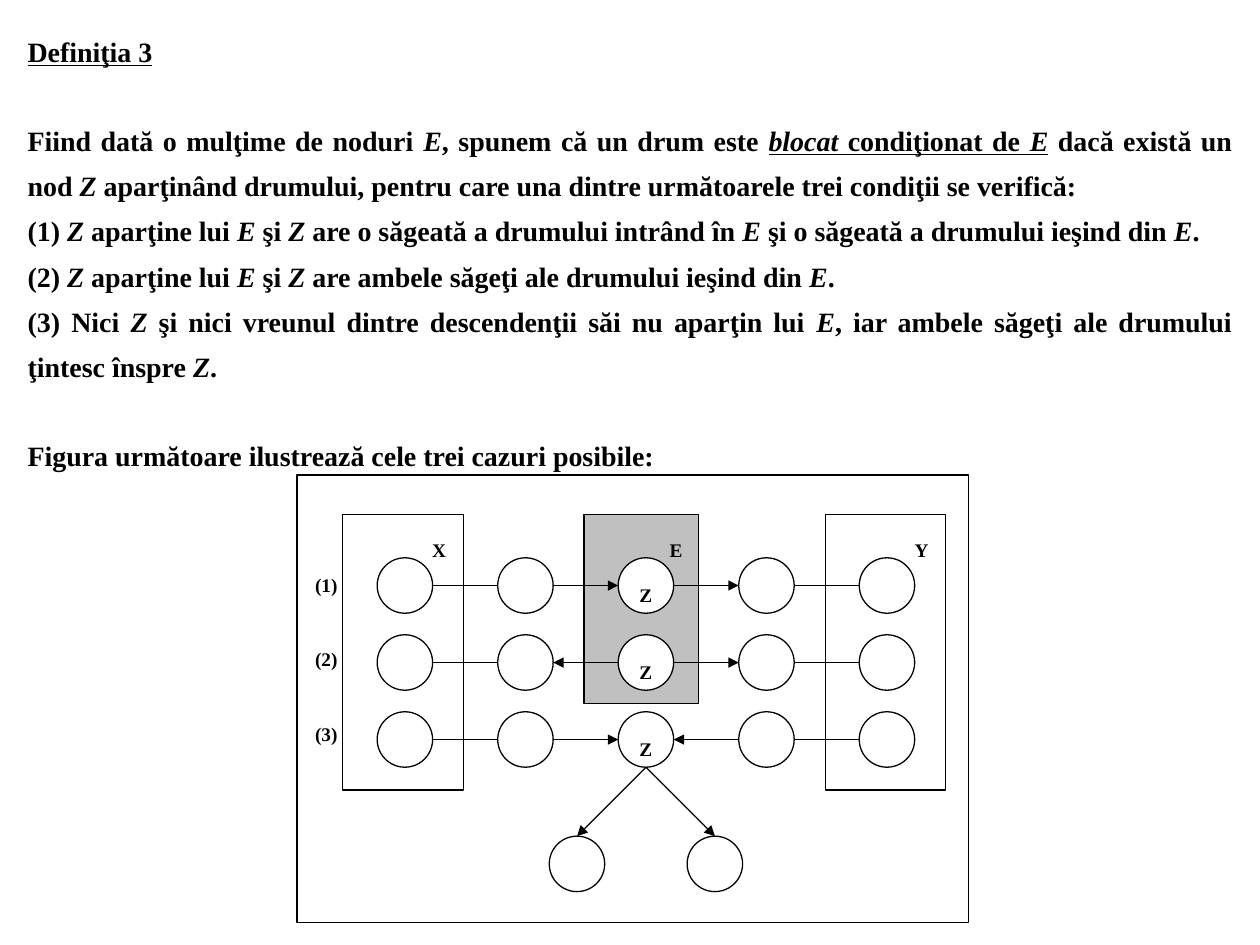
"""Build the slide that defines a blocked path and shows its three cases."""
from dataclasses import dataclass

import lxml.etree
import pptx
import pptx.dml.color
import pptx.enum.shapes
import pptx.enum.text
import pptx.oxml.ns
import pptx.util

Pt = pptx.util.Pt
Shapes = pptx.enum.shapes.MSO_SHAPE
Align = pptx.enum.text.PP_ALIGN
BLACK = pptx.dml.color.RGBColor(0x00, 0x00, 0x00)
WHITE = pptx.dml.color.RGBColor(0xFF, 0xFF, 0xFF)
GREY = pptx.dml.color.RGBColor(0xC0, 0xC0, 0xC0)
FONT = "Times New Roman"
BODY_SIZE, LABEL_SIZE = 16, 11
LINE_WIDTH = 0.75
SECTION_GAP = 24.8

DIAMETER = 31.7
RADIUS = DIAMETER / 2
FIRST_X, COLUMN_STEP = 231.4, 68.87
FIRST_Y, ROW_STEP = 334.6, 44
COLUMNS, MIDDLE = 5, 2
CHILD_OFFSET, CHILD_Y = 39.4, 493.7


@dataclass(frozen=True)
class Run:
    text: str
    italic: bool = False
    underline: bool = False


@dataclass(frozen=True)
class Paragraph:
    runs: tuple[Run, ...]
    space_before: float = 0


@dataclass(frozen=True)
class Box:
    left: float
    top: float
    width: float
    height: float
    fill: pptx.dml.color.RGBColor | None = WHITE
    outlined: bool = True
    label: str = ""


E = Run("E", italic=True)
Z = Run("Z", italic=True)
DEFINITION = (
    Paragraph((Run("Definiţia 3", underline=True),)),
    Paragraph((
        Run("Fiind dată o mulţime de noduri "), E, Run(", spunem că un drum este "),
        Run("blocat", True, True), Run(" condiţionat de ", underline=True),
        Run("E", True, True), Run(" dacă există un nod "), Z,
        Run(" aparţinând drumului, pentru care una dintre următoarele trei condiţii se verifică:"),
    ), SECTION_GAP),
    Paragraph((
        Run("(1) "), Z, Run(" aparţine lui "), E, Run(" şi "), Z,
        Run(" are o săgeată a drumului intrând în "), E,
        Run(" şi o săgeată a drumului ieşind din "), E, Run("."),
    )),
    Paragraph((
        Run("(2) "), Z, Run(" aparţine lui "), E, Run(" şi "), Z,
        Run(" are ambele săgeţi ale drumului ieşind din "), E, Run("."),
    )),
    Paragraph((
        Run("(3) Nici "), Z, Run(" şi nici vreunul dintre descendenţii săi nu aparţin lui "), E,
        Run(", iar ambele săgeţi ale drumului ţintesc înspre "), Z, Run("."),
    )),
    Paragraph((Run("Figura următoare ilustrează cele trei cazuri posibile:"),), SECTION_GAP),
)
BOXES = (
    Box(169.7, 271.4, 383.8, 255.6),
    Box(195.8, 293.9, 69, 157.6),
    Box(333.8, 293.9, 65.2, 108, fill=GREY),
    Box(471.6, 293.9, 68.8, 157.6),
    Box(237.6, 297.4, 26.6, 19.4, outlined=False, label="X"),
    Box(374.4, 297.4, 23.8, 19.4, fill=None, outlined=False, label="E"),
    Box(513.4, 297.4, 26.6, 19.4, outlined=False, label="Y"),
)
CASES = ("->>-", "-<>-", "-><-")


def add_run(paragraph, run: Run, size: float) -> None:
    text_run = paragraph.add_run()
    text_run.text = run.text
    font = text_run.font
    font.name, font.size, font.bold = FONT, Pt(size), True
    font.italic, font.underline = run.italic, run.underline
    font.color.rgb = BLACK


def write_paragraphs(frame, paragraphs, size: float, alignment, line_spacing: float) -> None:
    frame.word_wrap = True
    frame.auto_size = pptx.enum.text.MSO_AUTO_SIZE.NONE
    frame.vertical_anchor = pptx.enum.text.MSO_ANCHOR.TOP
    for index, content in enumerate(paragraphs):
        paragraph = frame.add_paragraph() if index else frame.paragraphs[0]
        paragraph.alignment = alignment
        paragraph.line_spacing = line_spacing
        paragraph.space_before = Pt(content.space_before)
        paragraph.space_after = Pt(0)
        for run in content.runs:
            add_run(paragraph, run, size)


def add_box(shapes, box: Box, preset=Shapes.RECTANGLE) -> None:
    shape = shapes.add_shape(preset, Pt(box.left), Pt(box.top), Pt(box.width), Pt(box.height))
    shape.shadow.inherit = False
    if box.fill is None:
        shape.fill.background()
    else:
        shape.fill.solid()
        shape.fill.fore_color.rgb = box.fill
    if box.outlined:
        shape.line.color.rgb = BLACK
        shape.line.width = Pt(LINE_WIDTH)
    else:
        shape.line.fill.background()
    if box.label:
        frame = shape.text_frame
        frame.margin_left = frame.margin_right = 0
        write_paragraphs(frame, [Paragraph((Run(box.label),))], LABEL_SIZE, Align.CENTER, 1.5)


def add_node(shapes, x: float, y: float, label: str = "") -> None:
    box = Box(x - RADIUS, y - RADIUS, DIAMETER, DIAMETER, label=label)
    add_box(shapes, box, Shapes.FLOWCHART_CONNECTOR)


def add_edge(shapes, x1: float, y1: float, x2: float, y2: float, arrow: bool = True) -> None:
    connector = shapes.add_connector(
        pptx.enum.shapes.MSO_CONNECTOR.STRAIGHT, Pt(x1), Pt(y1), Pt(x2), Pt(y2))
    connector.line.color.rgb = BLACK
    connector.line.width = Pt(LINE_WIDTH)
    qn = pptx.oxml.ns.qn
    properties = connector.element.find(qn("p:spPr"))
    if arrow:
        lxml.etree.SubElement(properties.find(qn("a:ln")), qn("a:tailEnd"), type="triangle")
    lxml.etree.SubElement(properties, qn("a:effectLst"))


def add_case(shapes, y: float, edges: str) -> None:
    for column in range(COLUMNS):
        add_node(shapes, FIRST_X + column * COLUMN_STEP, y, "Z" if column == MIDDLE else "")
    for column, edge in enumerate(edges):
        start = FIRST_X + column * COLUMN_STEP + RADIUS
        end = start + COLUMN_STEP - DIAMETER
        if edge == "<":
            start, end = end, start
        add_edge(shapes, start, y, end, y, edge != "-")


def add_case_numbers(shapes) -> None:
    frame = shapes.add_textbox(Pt(166.3), Pt(293.9), Pt(40.3), Pt(147.6)).text_frame
    frame.margin_left = frame.margin_right = 0
    frame.margin_top = Pt(33.5)
    numbers = [Paragraph((Run(f"({index + 1})"),), 29.4 if index else 0)
               for index in range(len(CASES))]
    write_paragraphs(frame, numbers, LABEL_SIZE, Align.CENTER, 1)


def add_diagram(shapes) -> None:
    for box in BOXES:
        add_box(shapes, box)
    add_case_numbers(shapes)
    for row, edges in enumerate(CASES):
        add_case(shapes, FIRST_Y + row * ROW_STEP, edges)
    parent_x = FIRST_X + MIDDLE * COLUMN_STEP
    parent_bottom = FIRST_Y + (len(CASES) - 1) * ROW_STEP + RADIUS
    for child_x in (parent_x - CHILD_OFFSET, parent_x + CHILD_OFFSET):
        add_node(shapes, child_x, CHILD_Y)
        add_edge(shapes, parent_x, parent_bottom, child_x, CHILD_Y - RADIUS)


def main() -> None:
    presentation = pptx.Presentation()
    presentation.slide_width, presentation.slide_height = Pt(720), Pt(540)
    slide = presentation.slides.add_slide(presentation.slide_layouts[0])
    title, subtitle = slide.placeholders
    title.element.getparent().remove(title.element)
    subtitle.left, subtitle.top = Pt(8.6), Pt(9.4)
    subtitle.width, subtitle.height = Pt(702.7), Pt(521.3)
    write_paragraphs(subtitle.text_frame, DEFINITION, BODY_SIZE, Align.JUSTIFY, 1.35)
    add_diagram(slide.shapes.add_group_shape().shapes)
    presentation.save("out.pptx")


if __name__ == "__main__":
    main()
